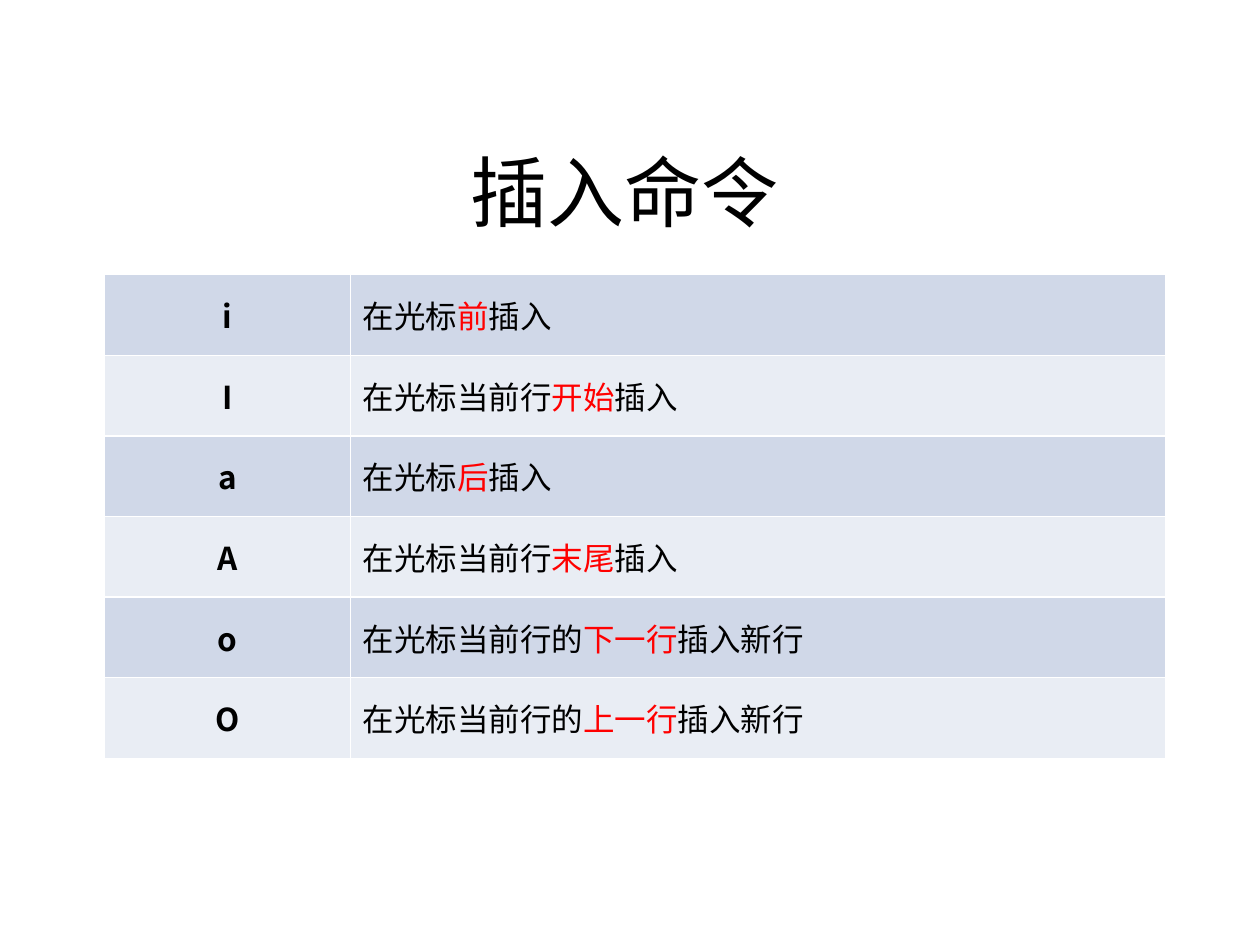
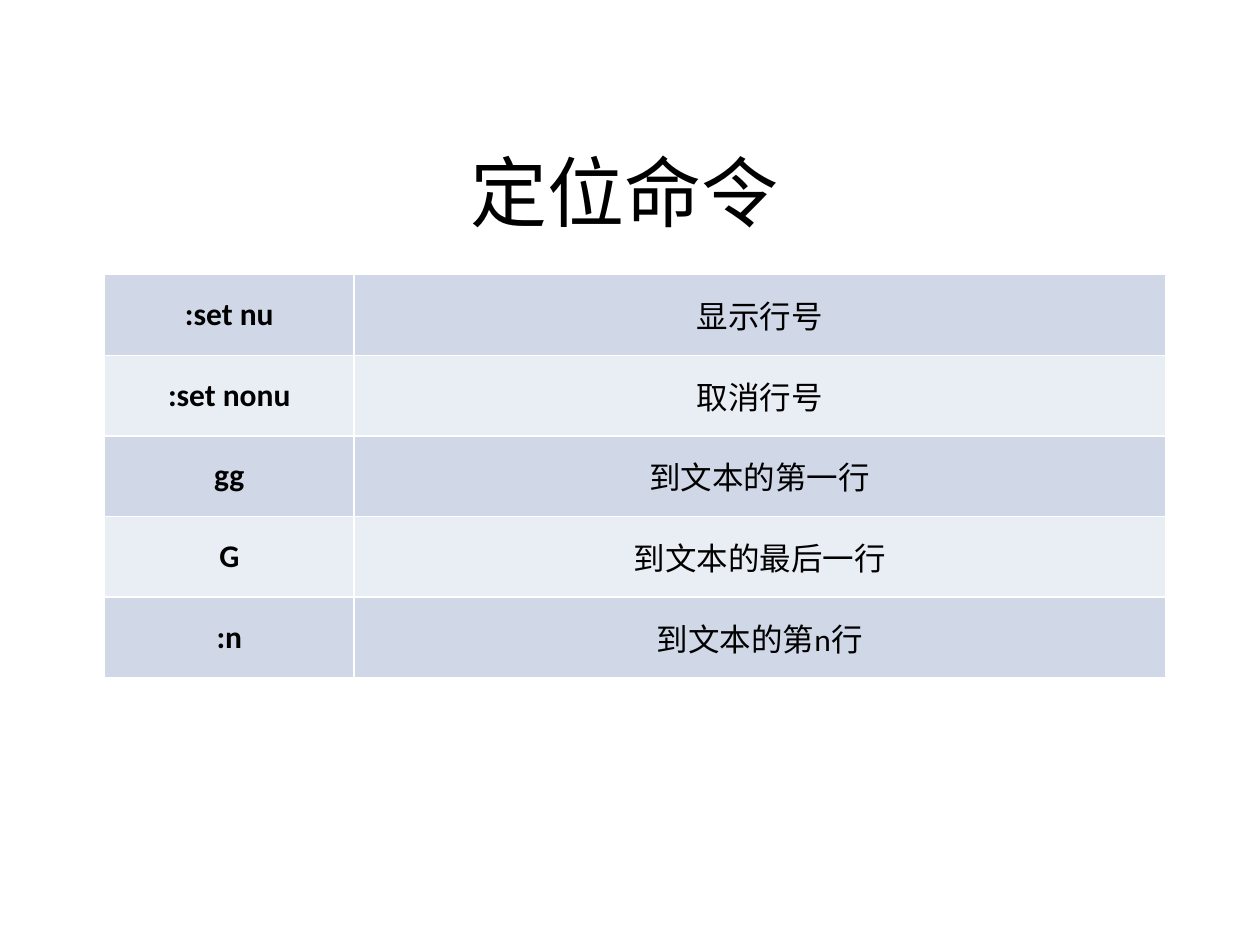
from dataclasses import dataclass

from pptx import Presentation
from pptx.dml.color import RGBColor as Color
from pptx.enum.text import MSO_ANCHOR as Anchor, PP_ALIGN as Align
from pptx.oxml.ns import qn
from pptx.util import Inches, Pt
from lxml.etree import SubElement

# Content: a description is a tuple of spans, the second one highlighted
INSERT_ROWS = [
    ("i", ("在光标", "前", "插入")),
    ("I", ("在光标当前行", "开始", "插入")),
    ("a", ("在光标", "后", "插入")),
    ("A", ("在光标当前行", "末尾", "插入")),
    ("o", ("在光标当前行的", "下一行", "插入新行")),
    ("O", ("在光标当前行的", "上一行", "插入新行")),
]
MOVE_ROWS = [
    (":set nu", ("显示行号",)),
    (":set nonu", ("取消行号",)),
    ("gg", ("到文本的第一行",)),
    ("G", ("到文本的最后一行",)),
    (":n", ("到文本的第n行",)),
]


@dataclass(frozen=True)
class Theme:
    latin: str = "Calibri"
    chinese: str = "Noto Sans CJK SC"
    title_size: int = 44
    cell_size: int = 18
    text: str = "000000"
    highlight: str = "FF0000"
    border: str = "FFFFFF"
    bands: tuple = ("D0D8E8", "E9EDF4")


THEME = Theme()
SLIDES = [
    dict(title="插入命令", rows=INSERT_ROWS, key_width=1.95,
         key_font=THEME.chinese, align=Align.LEFT),
    dict(title="定位命令", rows=MOVE_ROWS, key_width=1.98,
         key_font=THEME.latin, align=Align.CENTER),
]

# Grid, in inches
SLIDE_SIZE = (10, 7.5)
TITLE_BOX = (0.75, 0.36, 8.42, 1.57)
TABLE_LEFT, TABLE_TOP, TABLE_WIDTH, ROW_HEIGHT = 0.83, 2.18, 8.42, 0.64


def style_span(span, size, color=THEME.text, bold=False, font=THEME.latin):
    span.font.size = Pt(size)
    span.font.bold = bold
    span.font.name = font
    span.font.color.rgb = Color.from_string(color)
    east_asian = SubElement(span.font._element, qn("a:ea"))
    east_asian.set("typeface", THEME.chinese)


def add_title(slide, text):
    box = slide.shapes.title
    box.left, box.top, box.width, box.height = map(Inches, TITLE_BOX)
    frame = box.text_frame
    frame.text = text
    frame.vertical_anchor = Anchor.BOTTOM
    para = frame.paragraphs[0]
    para.alignment = Align.CENTER
    style_span(para.runs[0], THEME.title_size)


def set_borders(cell):
    """Borders must come before the fill in the cell properties."""
    properties = cell._tc.get_or_add_tcPr()
    for side in ("lnL", "lnR", "lnT", "lnB"):
        line = SubElement(properties, qn(f"a:{side}"), w=str(Pt(1)))
        fill = SubElement(line, qn("a:solidFill"))
        SubElement(fill, qn("a:srgbClr"), val=THEME.border)


def fill_cell(cell, band, spans, align, bold=False, font=THEME.latin):
    set_borders(cell)
    cell.fill.solid()
    cell.fill.fore_color.rgb = Color.from_string(band)
    cell.vertical_anchor = Anchor.MIDDLE
    para = cell.text_frame.paragraphs[0]
    para.alignment = align
    # Space before as a share of the line height
    space = SubElement(para._p.get_or_add_pPr(), qn("a:spcBef"))
    SubElement(space, qn("a:spcPct"), val="20000")
    for index, text in enumerate(spans):
        span = para.add_run()
        span.text = text
        color = THEME.highlight if index == 1 else THEME.text
        style_span(span, THEME.cell_size, color, bold, font)


def add_command_table(slide, rows, key_width, key_font, align):
    area = (TABLE_LEFT, TABLE_TOP, TABLE_WIDTH, ROW_HEIGHT * len(rows))
    table = slide.shapes.add_table(len(rows), 2, *map(Inches, area)).table
    table.first_row = False
    table.horz_banding = False
    for column, width in zip(table.columns, (key_width, TABLE_WIDTH - key_width)):
        column.width = Inches(width)
    for index, (key, description) in enumerate(rows):
        band = THEME.bands[index % len(THEME.bands)]
        fill_cell(table.cell(index, 0), band, (key,), Align.CENTER, True, key_font)
        fill_cell(table.cell(index, 1), band, description, align)


def main():
    deck = Presentation()
    deck.slide_width, deck.slide_height = map(Inches, SLIDE_SIZE)
    title_only = deck.slide_layouts[5]
    for page in SLIDES:
        slide = deck.slides.add_slide(title_only)
        add_title(slide, page["title"])
        add_command_table(slide, page["rows"], page["key_width"],
                          page["key_font"], page["align"])
    deck.save("out.pptx")


if __name__ == "__main__":
    main()
